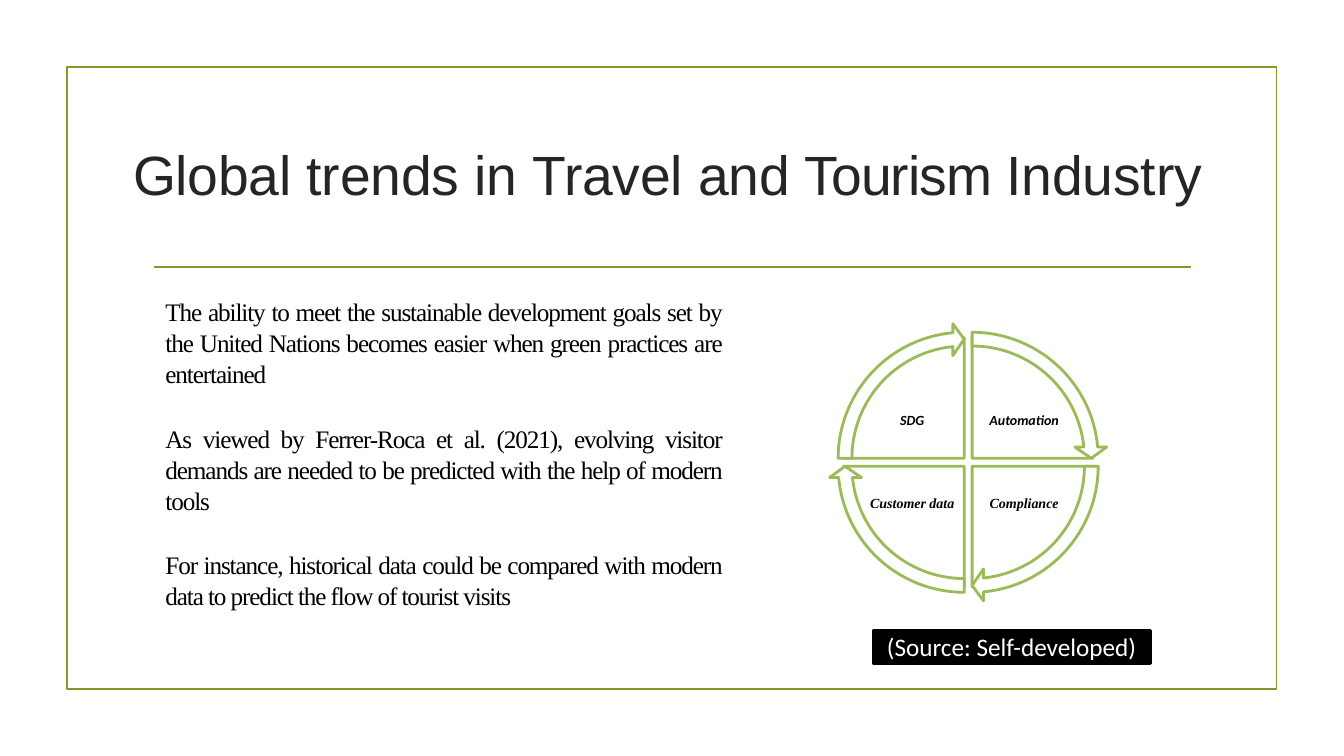
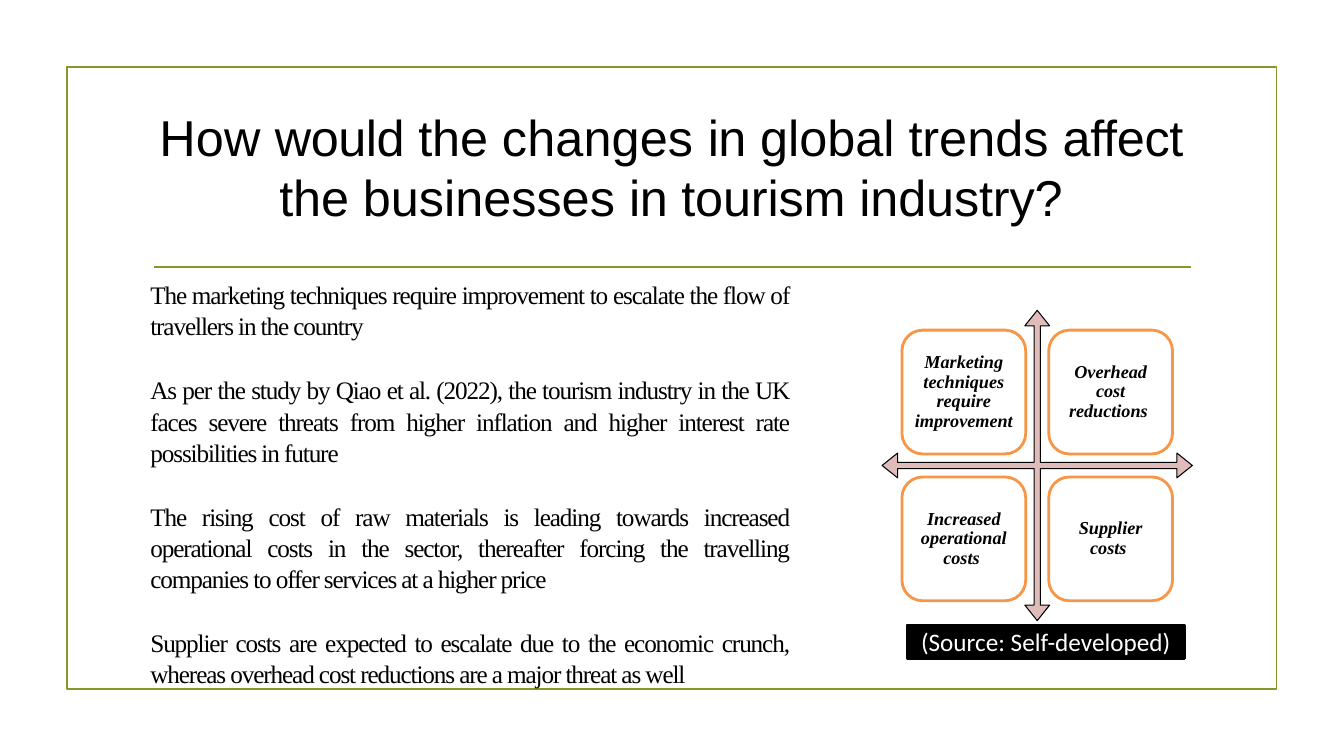
from dataclasses import dataclass
from typing import Any

from lxml import etree
from pptx import Presentation
from pptx.dml.color import RGBColor
from pptx.enum.shapes import MSO_CONNECTOR, MSO_SHAPE
from pptx.enum.text import MSO_ANCHOR, PP_ALIGN
from pptx.oxml.ns import qn
from pptx.util import Cm, Pt

RECT = MSO_SHAPE.RECTANGLE
ROUND = MSO_SHAPE.ROUNDED_RECTANGLE
PIE = MSO_SHAPE.PIE
CURVE = MSO_SHAPE.CIRCULAR_ARROW
CROSS = MSO_SHAPE.QUAD_ARROW
LINE = MSO_CONNECTOR.STRAIGHT
TOP, MIDDLE = MSO_ANCHOR.TOP, MSO_ANCHOR.MIDDLE
LEFT, CENTER, JUSTIFY = PP_ALIGN.LEFT, PP_ALIGN.CENTER, PP_ALIGN.JUSTIFY

FULL_TURN = 216
TIP = 3.275


@dataclass(frozen=True)
class Theme:
    white: str = "FFFFFF"
    black: str = "000000"
    dark: str = "252525"
    olive: str = "83992A"
    green: str = "9BBB59"
    orange: str = "F79646"
    pink: str = "DFBBBA"
    sans: str = "Arial"
    serif: str = "Times New Roman"
    plain: str = "Calibri"
    head: float = 39.5
    query: float = 36
    body: float = 18
    box: float = 13
    label: float = 10
    thin: float = 0.75
    rule: float = 1.25
    thick: float = 2


THEME = Theme()


@dataclass(frozen=True)
class Area:
    left: float
    top: float
    width: float
    height: float

    def bounds(self) -> tuple[Cm, Cm, Cm, Cm]:
        return Cm(self.left), Cm(self.top), Cm(self.width), Cm(self.height)


@dataclass(frozen=True)
class Font:
    face: str
    size: float
    color: str = THEME.black
    strong: bool = False


@dataclass(frozen=True)
class Title:
    area: Area
    font: Font
    runs: list[tuple[str, float]]
    inset: float
    before: float
    margin: float = 0.03
    indent: float = 0
    pitch: float | None = None


@dataclass(frozen=True)
class Part:
    text: str
    across: int
    down: int
    start: int = 0
    face: str = THEME.serif


TREND_TITLE = Title(
    Area(3.33, 3.48, 27.56, 1.75),
    Font(THEME.sans, THEME.head, THEME.dark),
    [("Global ", -0.2), ("trends ", -0.1), ("in ", -0.2), ("Travel ", -0.1),
     ("and ", -0.3), ("Tourism ", -0.7), ("Industry", -0.1)],
    inset=0.05, before=1.3)

EFFECT_TITLE = Title(
    Area(3.76, 2.13, 26.34, 3.81),
    Font(THEME.sans, THEME.query),
    [("How ", 0.1), ("would ", -0.3), ("the ", -0.1), ("changes ", 0.1),
     ("in ", -0.3), ("global trends ", 0), ("affect ", -0.2), ("the ", -0.1),
     ("businesses ", 0), ("in ", -0.3), ("tourism industry?", -0.1)],
    inset=0.56, before=2.5, margin=3.28, indent=-3.02, pitch=42.8)

TREND_TEXT = [
    "The ability to meet the sustainable development goals set by the United "
    "Nations becomes easier when green practices are entertained",
    "As viewed by Ferrer-Roca et al. (2021), evolving visitor demands are "
    "needed to be predicted with the help of modern tools",
    "For instance, historical data could be compared with modern data to "
    "predict the flow of tourist visits",
]

EFFECT_TEXT = [
    "The marketing techniques require improvement to escalate the flow of "
    "travellers in the country",
    "As per the study by Qiao et al. (2022), the tourism industry in the UK "
    "faces severe threats from higher inflation and higher interest rate "
    "possibilities in future",
    "The rising cost of raw materials is leading towards increased operational "
    "costs in the sector, thereafter forcing the travelling companies to offer "
    "services at a higher price",
    "Supplier costs are expected to escalate due to the economic crunch, "
    "whereas overhead cost reductions are a major threat as well",
]

CYCLE = [
    Part("Automation", 1, -1, 162, THEME.plain),
    Part("Compliance", 1, 1, 0),
    Part("Customer data", -1, 1, 54),
    Part("SDG", -1, -1, 108, THEME.plain),
]

GRID = [
    Part("Marketing techniques require improvement ", -1, -1),
    Part("Overhead cost reductions ", 1, -1),
    Part("Increased operational costs ", -1, 1),
    Part("Supplier costs ", 1, 1),
]


def around(x: float, y: float, width: float, height: float) -> Area:
    return Area(x - width / 2, y - height / 2, width, height)


def add_run(para: Any, text: str, font: Font, gap: float = 0) -> None:
    run = para.add_run()
    run.text = text
    run.font.name = font.face
    run.font.size = Pt(font.size)
    run.font.color.rgb = RGBColor.from_string(font.color)
    if font.strong:
        run.font.bold = run.font.italic = True
    if gap:
        run._r.get_or_add_rPr().set("spc", str(round(gap * 100)))


def set_indent(para: Any, margin: float, first: float) -> None:
    props = para._p.get_or_add_pPr()
    props.set("marL", str(int(Cm(margin))))
    props.set("indent", str(int(Cm(first))))


def set_frame(shape: Any, side: float, top: float, anchor: Any) -> Any:
    frame = shape.text_frame
    frame.word_wrap = True
    frame.vertical_anchor = anchor
    frame.margin_left = frame.margin_right = Cm(side)
    frame.margin_top = Cm(top)
    frame.margin_bottom = Cm(side)
    return frame


def add_form(slide: Any, kind: Any, area: Area, fill: str | None, line: str,
             weight: float, tweaks: tuple[float, ...] = ()) -> Any:
    shape = slide.shapes.add_shape(kind, *area.bounds())
    shape.shadow.inherit = False
    if fill:
        shape.fill.solid()
        shape.fill.fore_color.rgb = RGBColor.from_string(fill)
    else:
        shape.fill.background()
    shape.line.color.rgb = RGBColor.from_string(line)
    shape.line.width = Pt(weight)
    for index, value in enumerate(tweaks):
        shape.adjustments[index] = value
    return shape


def put_label(shape: Any, text: str, font: Font, inset: float,
              pitch: float | None = 0.9) -> None:
    para = set_frame(shape, inset, inset, MIDDLE).paragraphs[0]
    para.alignment = CENTER
    para.line_spacing = pitch
    add_run(para, text, font)


def draw_base(slide: Any) -> None:
    add_form(slide, RECT, Area(1.69, 1.69, 30.48, 15.67), None,
             THEME.olive, THEME.rule)
    rule = slide.shapes.add_connector(
        LINE, Cm(3.89), Cm(6.73), Cm(30.02), Cm(6.73))
    rule.line.color.rgb = RGBColor.from_string(THEME.olive)
    rule.line.width = Pt(THEME.rule)
    etree.SubElement(rule._element.spPr, qn("a:effectLst"))


def draw_title(slide: Any, title: Title) -> None:
    box = slide.shapes.add_textbox(*title.area.bounds())
    para = set_frame(box, 0, title.inset, TOP).paragraphs[0]
    para.alignment = LEFT
    para.space_before = Pt(title.before)
    if title.pitch:
        para.line_spacing = Pt(title.pitch)
    set_indent(para, title.margin, title.indent)
    for text, gap in title.runs:
        add_run(para, text, title.font, gap)


def draw_body(slide: Any, area: Area, texts: list[str]) -> None:
    box = slide.shapes.add_textbox(*area.bounds())
    frame = set_frame(box, 0, 0.03, TOP)
    for index, text in enumerate(texts):
        para = frame.add_paragraph() if index else frame.paragraphs[0]
        para.alignment = JUSTIFY
        para.line_spacing = 1.03
        para.space_before = Pt(23.6 if index else 1.1)
        set_indent(para, 0.03, 0)
        add_run(para, text, Font(THEME.serif, THEME.body), -0.8)


def draw_source(slide: Any, left: float, top: float) -> None:
    bar = add_form(slide, RECT, Area(left, top, 6.99, 0.84), THEME.black,
                   THEME.black, THEME.thick)
    put_label(bar, "(Source: Self-developed)",
              Font(THEME.plain, THEME.body, THEME.white), 0.13, None)


def draw_cycle(slide: Any, x: float, y: float) -> None:
    style = (THEME.white, THEME.green, THEME.thick)
    gap = 0.1
    for part in CYCLE:
        area = around(x + gap * part.across, y + gap * part.down, 6.07, 6.07)
        end = (part.start + 54) % FULL_TURN
        add_form(slide, PIE, area, *style, (part.start, end))
        spot = around(x + 1.41 * part.across, y + 1.05 * part.down, 2.24, 1.65)
        put_label(slide.shapes.add_textbox(*spot.bounds()), part.text,
                  Font(part.face, THEME.label, strong=True), 0.03)
    for part in CYCLE:
        area = around(x + gap * part.across, y + gap * part.down, 6.81, 6.81)
        end = (part.start + 54 - TIP) % FULL_TURN
        add_form(slide, CURVE, area, *style,
                 (0.051, TIP, end, part.start, 0.059))


def draw_grid(slide: Any, x: float, y: float) -> None:
    add_form(slide, CROSS, around(x, y, 7.82, 7.82), THEME.pink,
             THEME.black, THEME.thin, (0.02, 0.04, 0.05))
    for part in GRID:
        area = around(x + 1.85 * part.across, y + 1.85 * part.down, 3.12, 3.12)
        box = add_form(slide, ROUND, area, THEME.white, THEME.orange,
                       THEME.thick)
        put_label(box, part.text, Font(part.face, THEME.box, strong=True), 0.13)


def main() -> None:
    deck = Presentation()
    deck.slide_width, deck.slide_height = Cm(33.87), Cm(19.05)
    blank = deck.slide_layouts[6]

    trend = deck.slides.add_slide(blank)
    draw_base(trend)
    draw_title(trend, TREND_TITLE)
    draw_body(trend, Area(4.14, 7.42, 14.05, 7.87), TREND_TEXT)
    draw_cycle(trend, 24.4, 11.65)
    draw_source(trend, 22, 15.88)

    effect = deck.slides.add_slide(blank)
    draw_base(effect)
    draw_title(effect, EFFECT_TITLE)
    draw_body(effect, Area(3.76, 6.99, 16.13, 11.05), EFFECT_TEXT)
    draw_grid(effect, 26.14, 11.73)
    draw_source(effect, 22.86, 15.75)

    deck.save("out.pptx")


if __name__ == "__main__":
    main()
